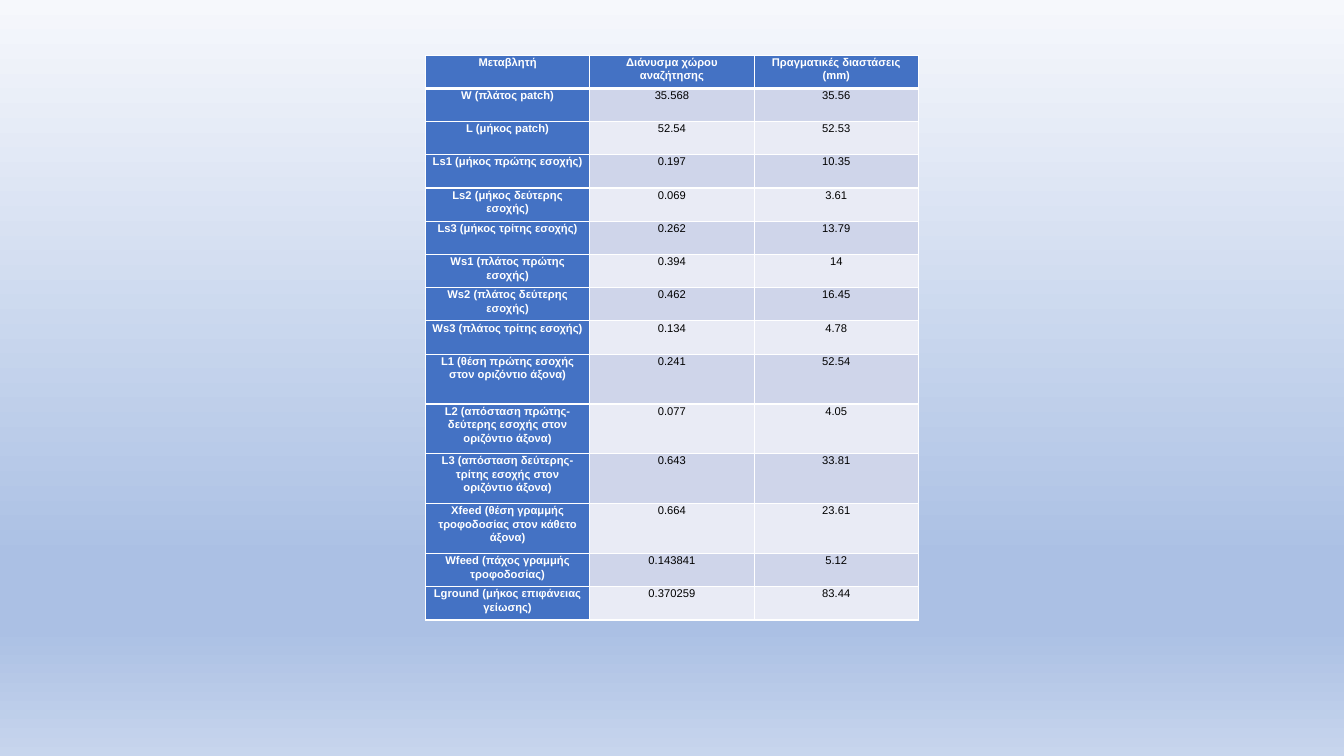
"""Build a slide with a table of antenna design variables."""
from copy import deepcopy
from dataclasses import dataclass

from lxml import etree
from pptx import Presentation
from pptx import util as u
from pptx.dml.color import RGBColor
from pptx.enum import text
from pptx.oxml import ns

COLOURS = {
    "white": "FFFFFF",
    "black": "000000",
    "blue": "4472C4",
    "odd": "CFD5EA",
    "even": "E9EBF5",
    "sky": "F6F8FC",
    "haze": "ABC0E4",
    "ground": "C7D5ED",
}
BACKGROUND = [("sky", 0), ("haze", 0.74), ("haze", 0.83), ("ground", 1)]
LEFT, TOP, COLUMN_WIDTH, LINE_HEIGHT = 303.9, 39.4, 117.4, 11.87
THIN, THICK = 1, 3


@dataclass(frozen=True)
class Variable:
    """One table row; lines is its height in text lines."""

    name: str
    vector: str
    size: str
    lines: int = 2


ROWS = [
    Variable("Μεταβλητή", "Διάνυσμα χώρου αναζήτησης", "Πραγματικές διαστάσεις (mm)"),
    Variable("W (πλάτος patch)", "35.568", "35.56"),
    Variable("L (μήκος patch)", "52.54", "52.53"),
    Variable("Ls1 (μήκος πρώτης εσοχής)", "0.197", "10.35"),
    Variable("Ls2 (μήκος δεύτερης εσοχής)", "0.069", "3.61"),
    Variable("Ls3 (μήκος τρίτης εσοχής)", "0.262", "13.79"),
    Variable("Ws1 (πλάτος πρώτης εσοχής)", "0.394", "14"),
    Variable("Ws2 (πλάτος δεύτερης εσοχής)", "0.462", "16.45"),
    Variable("Ws3 (πλάτος τρίτης εσοχής)", "0.134", "4.78"),
    Variable("L1 (θέση πρώτης εσοχής στον οριζόντιο άξονα)", "0.241", "52.54", 3),
    Variable("L2 (απόσταση πρώτης-δεύτερης εσοχής στον οριζόντιο άξονα)", "0.077", "4.05", 3),
    Variable("L3 (απόσταση δεύτερης-τρίτης εσοχής στον οριζόντιο άξονα)", "0.643", "33.81", 3),
    Variable("Xfeed (θέση γραμμής τροφοδοσίας στον κάθετο άξονα)", "0.664", "23.61", 3),
    Variable("Wfeed (πάχος γραμμής τροφοδοσίας)", "0.143841", "5.12"),
    Variable("Lground (μήκος επιφάνειας γείωσης)", "0.370259", "83.44"),
]


def rgb(name: str) -> RGBColor:
    """Return the named colour."""
    return RGBColor.from_string(COLOURS[name])


def paint_background(page) -> None:
    """Fill the page with the vertical gradient."""
    fill = page.background.fill
    fill.gradient()
    fill.gradient_angle = 270
    stop_list = page.element.find(".//" + ns.qn("a:gsLst"))
    while len(stop_list) < len(BACKGROUND):
        stop_list.append(deepcopy(stop_list[0]))
    for stop, (colour, position) in zip(fill.gradient_stops, BACKGROUND):
        stop.color.rgb = rgb(colour)
        stop.position = position


def draw_borders(cell, *, top: float, bottom: float) -> None:
    """Draw white borders around a cell."""
    properties = cell._tc.get_or_add_tcPr()
    for side, width in (("L", THIN), ("R", THIN), ("T", top), ("B", bottom)):
        line = etree.SubElement(properties, ns.qn(f"a:ln{side}"), w=str(u.Pt(width)))
        solid = etree.SubElement(line, ns.qn("a:solidFill"))
        etree.SubElement(solid, ns.qn("a:srgbClr"), val=COLOURS["white"])


def write_cell(cell, words: str, *, colour: str, fill: str, bold: bool) -> None:
    """Write centred text in a filled cell."""
    cell.margin_left = cell.margin_right = u.Pt(3.6)
    cell.margin_top = cell.margin_bottom = u.Pt(0)
    cell.fill.solid()
    cell.fill.fore_color.rgb = rgb(fill)
    para = cell.text_frame.paragraphs[0]
    para.alignment = text.PP_ALIGN.CENTER
    para.line_spacing = 1.07
    span = para.add_run()
    span.text = words
    span.font.name = "Arial"
    span.font.size = u.Pt(8)
    span.font.bold = bold
    span.font.color.rgb = rgb(colour)


def add_variables(page) -> None:
    """Add the table of variables."""
    height = LINE_HEIGHT * sum(row.lines for row in ROWS)
    table = page.shapes.add_table(
        len(ROWS), 3, u.Pt(LEFT), u.Pt(TOP), u.Pt(3 * COLUMN_WIDTH), u.Pt(height)
    ).table
    table.horz_banding = False
    for column in table.columns:
        column.width = u.Pt(COLUMN_WIDTH)
    for index, row in enumerate(ROWS):
        table.rows[index].height = u.Pt(LINE_HEIGHT * row.lines)
        band = "odd" if index % 2 else "even"
        for position, words in enumerate((row.name, row.vector, row.size)):
            cell = table.cell(index, position)
            heading = index == 0 or position == 0
            draw_borders(
                cell,
                top=THICK if index == 1 else THIN,
                bottom=THICK if index == 0 else THIN,
            )
            write_cell(
                cell,
                words,
                colour="white" if heading else "black",
                fill="blue" if heading else band,
                bold=heading,
            )


def main() -> None:
    """Build and save the deck."""
    deck = Presentation()
    deck.slide_width, deck.slide_height = u.Pt(960), u.Pt(540)
    page = deck.slides.add_slide(deck.slide_layouts[6])
    paint_background(page)
    add_variables(page)
    deck.save("out.pptx")


if __name__ == "__main__":
    main()
